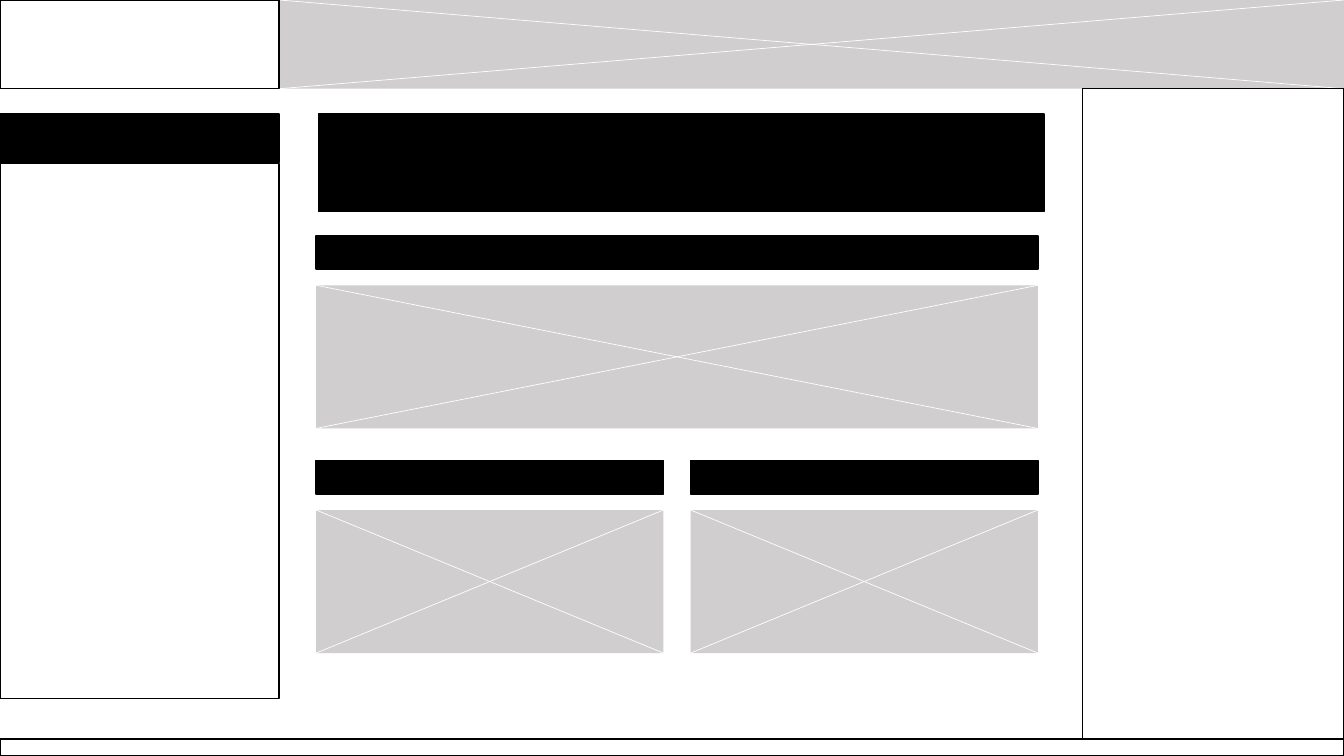
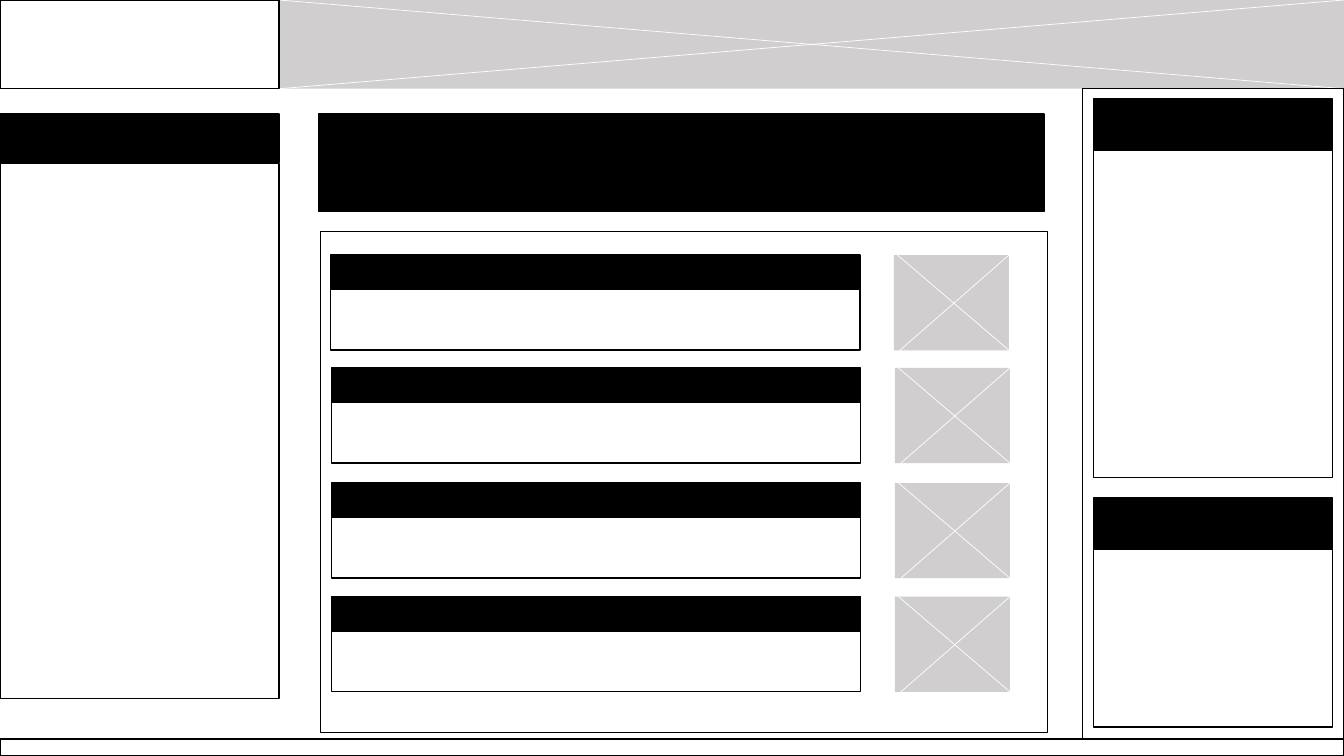
"""Two wireframe pages that share a banner, a menu, a side column and a footer."""
from lxml import etree
from pptx import Presentation
from pptx import util as u
from pptx.dml.color import RGBColor
from pptx.enum import shapes
from pptx.oxml.ns import qn

COLOURS = {"ink": "000000", "paper": "FFFFFF", "image": "D0CECE"}
PAGE_WIDTH, PAGE_HEIGHT = 960, 540
MENU_WIDTH = 199.4
BANNER_HEIGHT = 63.4
CONTENT_TOP = 81.4
FOOTER_TOP = 527.8
SIDE_LEFT = 773.3
BLANK_LAYOUT = 6


def colour(name):
    """Return the named colour."""
    return RGBColor.from_string(COLOURS[name])


def add_box(page, left, top, width, height, fill=None, line="ink"):
    """Add a rectangle, with fill and outline where they are named."""
    box = page.shapes.add_shape(shapes.MSO_SHAPE.RECTANGLE, u.Pt(left), u.Pt(top),
                                u.Pt(width), u.Pt(height))
    box.shadow.inherit = False
    if fill:
        box.fill.solid()
        box.fill.fore_color.rgb = colour(fill)
    else:
        box.fill.background()
    if line:
        box.line.color.rgb = colour(line)
        box.line.width = u.Pt(1)
    else:
        box.line.fill.background()


def add_line(page, start_x, start_y, end_x, end_y):
    """Add a thin white line."""
    line = page.shapes.add_connector(shapes.MSO_CONNECTOR.STRAIGHT, u.Pt(start_x),
                                     u.Pt(start_y), u.Pt(end_x), u.Pt(end_y))
    line.line.color.rgb = colour("paper")
    line.line.width = u.Pt(0.5)
    etree.SubElement(line._element.spPr, qn("a:effectLst"))


def add_image_area(page, left, top, width, height, fall_inset=0, rise_inset=0):
    """Add a grey area crossed by two diagonals, inset at their left ends."""
    right, bottom = left + width, top + height
    add_box(page, left, top, width, height, "image", line=None)
    add_line(page, left + fall_inset, top, right, bottom)
    add_line(page, right, top, left + rise_inset, bottom)


def add_panel(page, left, top, width, head, body, gap=0.0, body_fill=None):
    """Add a black heading bar above an outlined body."""
    add_box(page, left, top, width, head, "ink")
    add_box(page, left, top + head + gap, width, body, body_fill)


def add_captioned_image(page, left, top, width):
    """Add a black caption bar with an image area below it."""
    add_box(page, left, top, width, 23.8, "ink")
    add_image_area(page, left, top + 35.3, width, 102.2)


def add_page(deck):
    """Add a page with the parts that both pages share."""
    page = deck.slides.add_slide(deck.slide_layouts[BLANK_LAYOUT])
    add_image_area(page, MENU_WIDTH, 0, PAGE_WIDTH - MENU_WIDTH, BANNER_HEIGHT)
    add_box(page, 0, 0, MENU_WIDTH, BANNER_HEIGHT, "paper")
    add_panel(page, 0, CONTENT_TOP, MENU_WIDTH, 34.6, 382.3, gap=0.6)
    add_box(page, SIDE_LEFT, BANNER_HEIGHT, PAGE_WIDTH - SIDE_LEFT,
            FOOTER_TOP - BANNER_HEIGHT)
    add_box(page, 227.5, CONTENT_TOP, 518.4, 69.8, "ink")
    add_box(page, 0, FOOTER_TOP, PAGE_WIDTH, PAGE_HEIGHT - FOOTER_TOP)
    return page


def build_gallery(deck):
    """Build the page with one wide and two half-width images."""
    page = add_page(deck)
    left, width, gutter = 225.8, 515.6, 19.4
    half = (width - gutter) / 2
    add_captioned_image(page, left, 168.5, width)
    for column in range(2):
        add_captioned_image(page, left + column * (half + gutter), 329, half)


def build_article_list(deck):
    """Build the page with four articles and two side panels."""
    page = add_page(deck)
    add_box(page, 229, 165.6, 519.1, 357.8, "paper")
    for left, top in ((236.2, 182.2), (236.9, 262.8), (236.9, 345), (236.9, 426.2)):
        add_panel(page, left, top, 378, 24.6, 43.2, gap=0.2, body_fill="paper")
        add_image_area(page, left + 402.4, top, 82.1, 68, fall_inset=2.5, rise_inset=4.2)
    for top, body in ((70.6, 234), (355.7, 127.4)):
        add_panel(page, 781.2, top, 170.8, 36.2, body, gap=0.2)


def main():
    """Build and save the deck."""
    deck = Presentation()
    deck.slide_width, deck.slide_height = u.Pt(PAGE_WIDTH), u.Pt(PAGE_HEIGHT)
    build_gallery(deck)
    build_article_list(deck)
    deck.save("out.pptx")


main()
